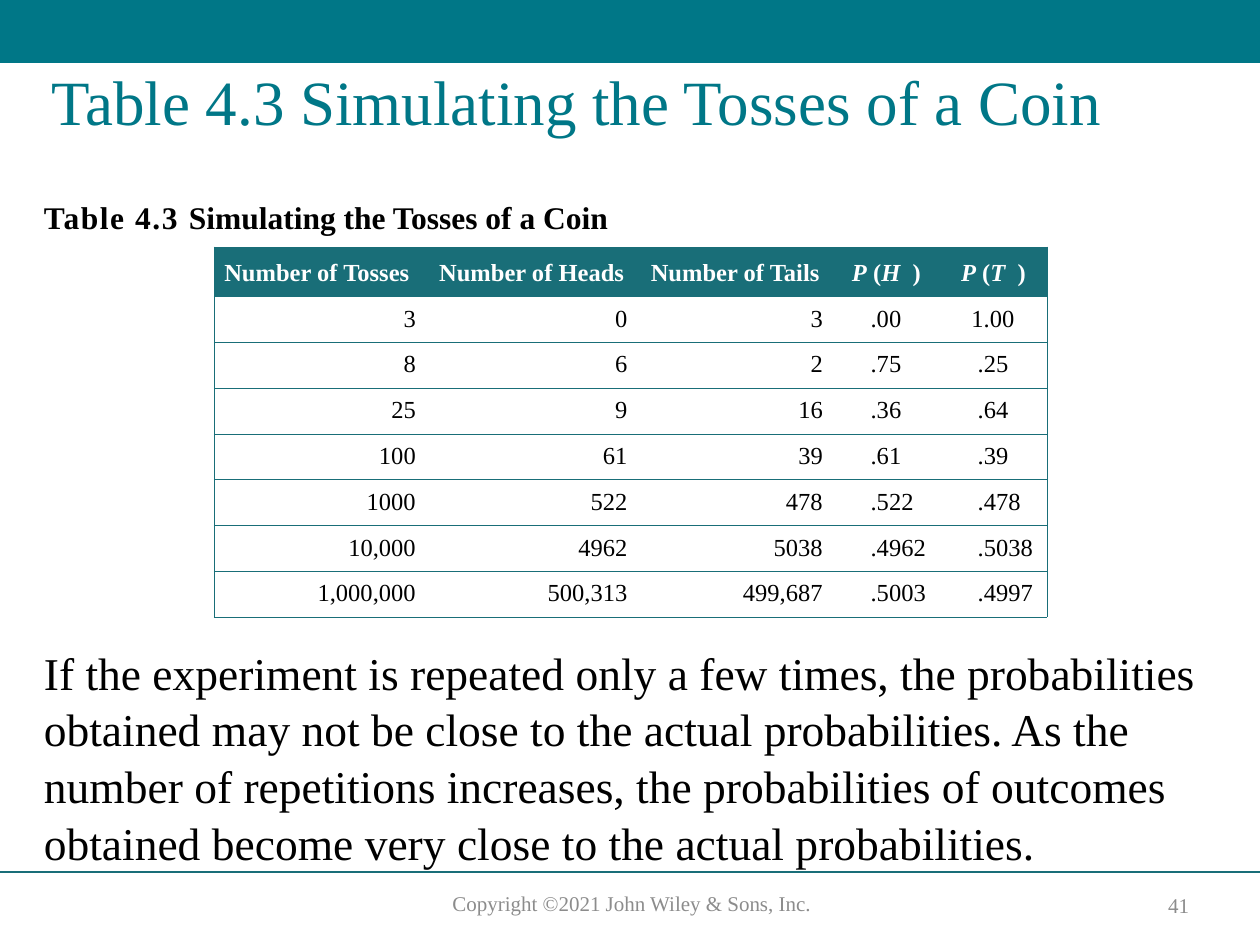
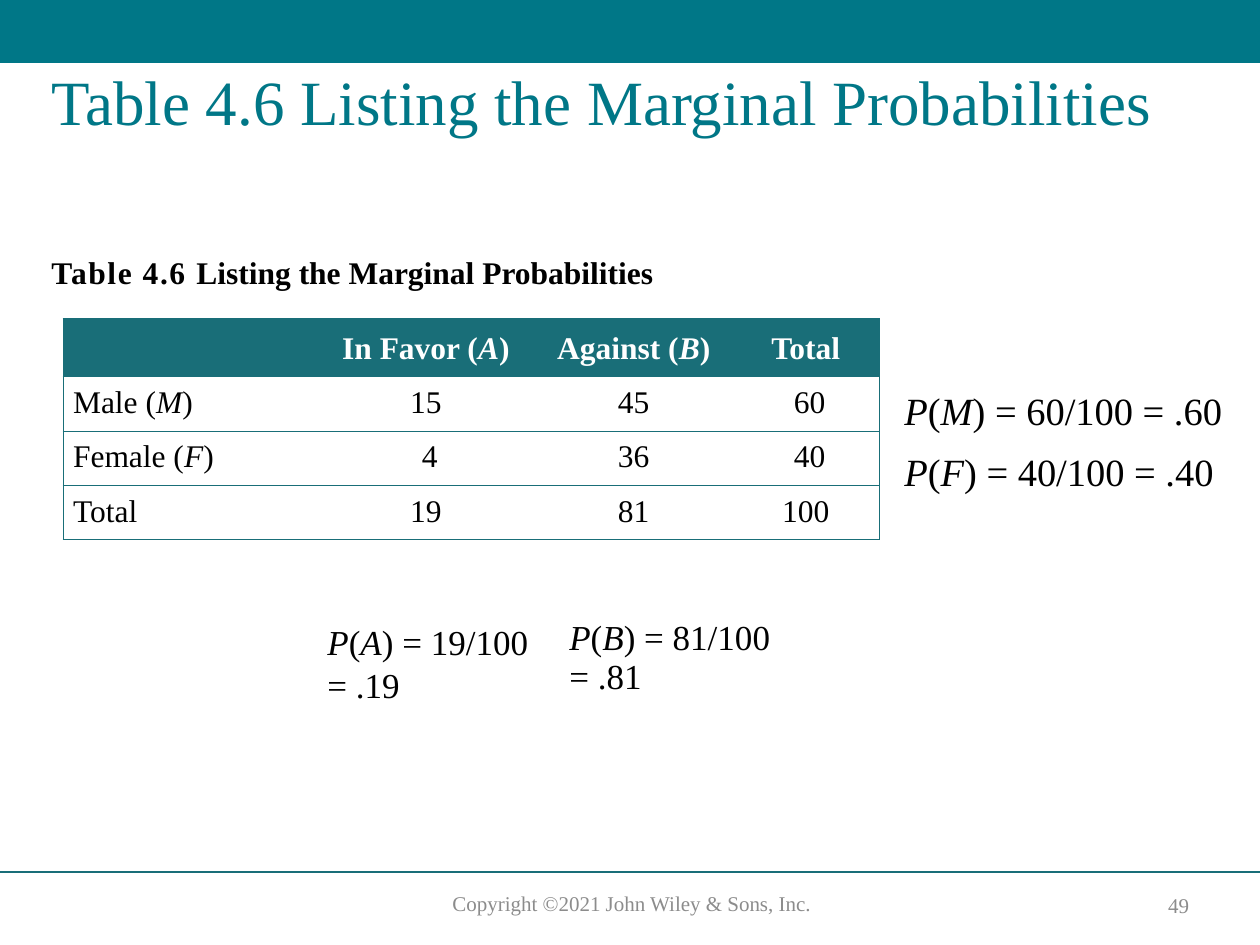
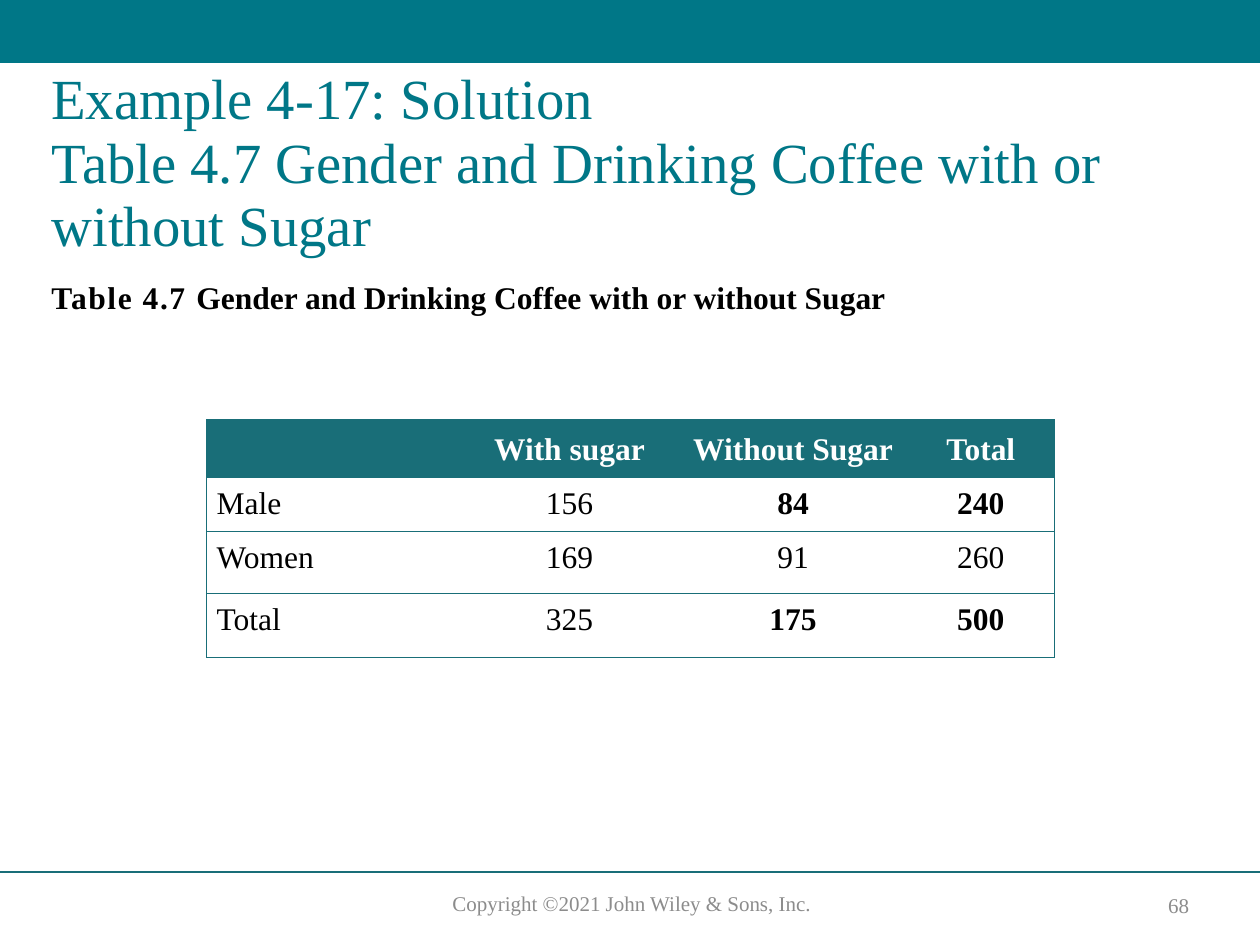
from dataclasses import dataclass

from lxml import etree
from pptx import Presentation
from pptx.dml.color import RGBColor
from pptx.enum.shapes import MSO_CONNECTOR, MSO_SHAPE
from pptx.enum.text import MSO_ANCHOR, PP_ALIGN
from pptx.oxml.ns import qn
from pptx.util import Inches, Pt

LEFT, CENTER, RIGHT = PP_ALIGN.LEFT, PP_ALIGN.CENTER, PP_ALIGN.RIGHT
TOP, MIDDLE, BOTTOM = MSO_ANCHOR.TOP, MSO_ANCHOR.MIDDLE, MSO_ANCHOR.BOTTOM
RECTANGLE, STRAIGHT = MSO_SHAPE.RECTANGLE, MSO_CONNECTOR.STRAIGHT

FONT = "Times New Roman"
COLORS = {
    "band": "007787",
    "rule": "196E78",
    "footer": "8C8C8C",
    "ink": "000000",
    "paper": "FFFFFF",
}
DECIMAL_INDENT = 0.22
INTEGER_DIGIT_SHIFT = 0.05


@dataclass(frozen=True)
class TextBlock:
    """Text in a box; parts between underscores are italic."""
    box: tuple[float, float, float, float]
    paragraphs: tuple[str, ...]
    size: float
    color: str = "ink"
    spacing: float = 1.0
    align: PP_ALIGN = LEFT
    anchor: MSO_ANCHOR = TOP
    gap: float = 0


@dataclass(frozen=True)
class Column:
    width: float
    align: PP_ALIGN = CENTER
    header_align: PP_ALIGN = CENTER
    decimal: bool = False


@dataclass(frozen=True)
class DataTable:
    left: float
    top: float
    columns: tuple[Column, ...]
    heights: tuple[float, ...]
    rows: tuple[tuple[str, ...], ...]
    size: float
    bold: frozenset[str] = frozenset()


@dataclass(frozen=True)
class Page:
    number: int
    title: str
    caption_box: tuple[float, float, float, float]
    caption: tuple[str, str]
    table: DataTable
    notes: tuple[TextBlock, ...] = ()
    title_size: float = 36


def rgb(name: str) -> RGBColor:
    return RGBColor.from_string(COLORS[name])


def apply(target, **values) -> None:
    for name, value in values.items():
        setattr(target, name, value)


def add_run(paragraph, text: str, size: float, color: str,
            bold: bool = False, italic: bool = False):
    run = paragraph.add_run()
    run.text = text
    apply(run.font, name=FONT, size=Pt(size), bold=bold, italic=italic)
    run.font.color.rgb = rgb(color)
    return run


def write(paragraph, text: str, size: float, color: str, bold: bool = False) -> None:
    for line_index, line in enumerate(text.split("\n")):
        if line_index:
            paragraph.add_line_break()
        for index, part in enumerate(line.split("_")):
            if part:
                add_run(paragraph, part, size, color, bold, italic=index % 2 == 1)


def add_frame(slide, box: tuple[float, float, float, float], anchor=TOP):
    frame = slide.shapes.add_textbox(*map(Inches, box)).text_frame
    apply(frame, word_wrap=True, vertical_anchor=anchor)
    return frame


def draw_text(slide, block: TextBlock) -> None:
    frame = add_frame(slide, block.box, block.anchor)
    for index, text in enumerate(block.paragraphs):
        paragraph = frame.add_paragraph() if index else frame.paragraphs[0]
        apply(paragraph, alignment=block.align, line_spacing=block.spacing)
        if index:
            paragraph.space_before = Pt(block.gap)
        write(paragraph, text, block.size, block.color)


def draw_caption(slide, box: tuple[float, float, float, float],
                 caption: tuple[str, str]) -> None:
    paragraph = add_frame(slide, box).paragraphs[0]
    paragraph.line_spacing = 0.94
    label, text = caption
    label_run = add_run(paragraph, label + " ", 18, "ink", bold=True)
    label_run.font._element.set("spc", "90")
    add_run(paragraph, text, 18, "ink", bold=True)


def set_borders(cell, first: bool, last: bool) -> None:
    """Rule every row; close the table at its outer sides only."""
    properties = cell._tc.get_or_add_tcPr()
    visible = {"lnL": first, "lnR": last, "lnT": True, "lnB": True}
    for tag, shown in visible.items():
        line = etree.SubElement(properties, qn(f"a:{tag}"), w=str(Pt(0.5)))
        fill = etree.SubElement(line, qn("a:solidFill" if shown else "a:noFill"))
        if shown:
            etree.SubElement(fill, qn("a:srgbClr"), val=COLORS["rule"])


def draw_cell(cell, text: str, column: Column, table: DataTable, header: bool) -> None:
    cell.fill.solid()
    cell.fill.fore_color.rgb = rgb("rule" if header else "paper")
    top, bottom = (0.08, 0.08) if header else (0.07, 0.06)
    apply(cell, margin_left=Inches(0.08), margin_right=Inches(0.08),
          margin_top=Inches(top), margin_bottom=Inches(bottom),
          vertical_anchor=BOTTOM if header else TOP)
    paragraph = cell.text_frame.paragraphs[0]
    paragraph.alignment = column.header_align if header else column.align
    if column.decimal and not header:
        # Decimal points line up whether or not a digit precedes them
        shift = 0 if text.startswith(".") else INTEGER_DIGIT_SHIFT
        indent = Inches(DECIMAL_INDENT - shift)
        paragraph._p.get_or_add_pPr().set("marL", str(indent))
    write(paragraph, text, table.size, "paper" if header else "ink",
          header or text in table.bold)


def draw_table(slide, data: DataTable) -> None:
    width = sum(column.width for column in data.columns)
    table = slide.shapes.add_table(
        len(data.rows), len(data.columns), Inches(data.left), Inches(data.top),
        Inches(width), Inches(sum(data.heights))).table
    apply(table, first_row=False, horz_banding=False)
    for index, column in enumerate(data.columns):
        table.columns[index].width = Inches(column.width)
    for row, (height, texts) in enumerate(zip(data.heights, data.rows)):
        table.rows[row].height = Inches(height)
        for index, (column, text) in enumerate(zip(data.columns, texts)):
            cell = table.cell(row, index)
            set_borders(cell, index == 0, index == len(data.columns) - 1)
            draw_cell(cell, text, column, data, header=row == 0)


def draw_frame(slide, number: int) -> None:
    # Top band
    band = slide.shapes.add_shape(RECTANGLE, 0, 0, Inches(10), Inches(0.5))
    band.shadow.inherit = False
    band.fill.solid()
    band.fill.fore_color.rgb = rgb("band")
    band.line.fill.background()
    # Footer rule
    rule = slide.shapes.add_connector(STRAIGHT, 0, Inches(6.92), Inches(10), Inches(6.92))
    rule.line.color.rgb = rgb("rule")
    rule.line.width = Pt(1)
    etree.SubElement(rule._element.spPr, qn("a:effectLst"))
    # Footer texts
    draw_text(slide, TextBlock((3.22, 7.02, 3.59, 0.3),
                               ("Copyright ©2021 John Wiley & Sons, Inc.",),
                               12, "footer", align=CENTER))
    draw_text(slide, TextBlock((9.05, 7.04, 0.61, 0.28), (str(number),),
                               12, "footer", align=CENTER, anchor=MIDDLE))


def draw_page(deck, page: Page) -> None:
    slide = deck.slides.add_slide(deck.slide_layouts[6])
    draw_frame(slide, page.number)
    draw_text(slide, TextBlock((0.31, 0.5, 9.33, 1.25), (page.title,),
                               page.title_size, "band", spacing=0.93))
    draw_caption(slide, page.caption_box, page.caption)
    draw_table(slide, page.table)
    for note in page.notes:
        draw_text(slide, note)


TOSSES = DataTable(
    1.7, 1.96,
    (Column(1.68, RIGHT, LEFT), Column(1.68, RIGHT), Column(1.55, RIGHT),
     Column(0.85, LEFT, decimal=True), Column(0.85, LEFT, decimal=True)),
    (0.38,) + (0.35,) * 7,
    (
        ("Number of Tosses", "Number of Heads", "Number of Tails",
         "_P_ (_H_  )", "_P_ (_T_  )"),
        ("3", "0", "3", ".00", "1.00"),
        ("8", "6", "2", ".75", ".25"),
        ("25", "9", "16", ".36", ".64"),
        ("100", "61", "39", ".61", ".39"),
        ("1000", "522", "478", ".522", ".478"),
        ("10,000", "4962", "5038", ".4962", ".5038"),
        ("1,000,000", "500,313", "499,687", ".5003", ".4997"),
    ),
    14,
)

OPINIONS = DataTable(
    0.5, 2.53,
    (Column(2.01, LEFT), Column(1.74), Column(1.56), Column(1.17)),
    (0.44,) + (0.42,) * 3,
    (
        ("", "In Favor (_A_)", "Against (_B_)", "Total"),
        ("Male (_M_)", "15", "45", " 60"),
        ("Female (_F_)", " 4", "36", " 40"),
        ("Total", "19", "81", "100"),
    ),
    18,
)

COFFEE = DataTable(
    1.64, 3.33,
    (Column(2.01, LEFT), Column(1.74), Column(1.81), Column(1.17)),
    (0.44, 0.42, 0.49, 0.51),
    (
        ("", "With sugar", "Without Sugar", "Total"),
        ("Male", "156", "84", "240"),
        ("Women", "169", "91", "260"),
        ("Total", "325", "175", "500"),
    ),
    18,
    frozenset({"84", "240", "175", "500"}),
)

PAGES = (
    Page(41, "Table 4.3 Simulating the Tosses of a Coin",
         (0.25, 1.55, 9.33, 0.45), ("Table 4.3", "Simulating the Tosses of a Coin"),
         TOSSES,
         (TextBlock((0.25, 5.05, 9.39, 1.79), (
             "If the experiment is repeated only a few times, the probabilities "
             "obtained may not be close to the actual probabilities. As the number "
             "of repetitions increases, the probabilities of outcomes obtained "
             "become very close to the actual probabilities.",), 26, spacing=1.04),)),
    Page(49, "Table 4.6 Listing the Marginal Probabilities",
         (0.31, 1.98, 9.33, 0.41), ("Table 4.6", "Listing the Marginal Probabilities"),
         OPINIONS,
         (TextBlock((7.08, 3.05, 2.83, 1.17),
                    ("_P_(_M_) = 60/100 = .60", "_P_(_F_) = 40/100 = .40"),
                    22, spacing=0.94, gap=10),
          TextBlock((2.5, 4.86, 1.8, 0.76), ("_P_(_A_) = 19/100 = .19",),
                    20, spacing=1.04),
          TextBlock((4.42, 4.86, 1.8, 0.75), ("_P_(_B_) = 81/100 = .81",),
                    20, spacing=0.94))),
    Page(68, "Example 4-17: Solution\n"
             "Table 4.7 Gender and Drinking Coffee with or without Sugar",
         (0.31, 2.18, 9.33, 0.41),
         ("Table 4.7", "Gender and Drinking Coffee with or without Sugar"),
         COFFEE, title_size=32.4),
)


def main() -> None:
    deck = Presentation()
    apply(deck, slide_width=Inches(10), slide_height=Inches(7.5))
    for page in PAGES:
        draw_page(deck, page)
    deck.save("out.pptx")


if __name__ == "__main__":
    main()
